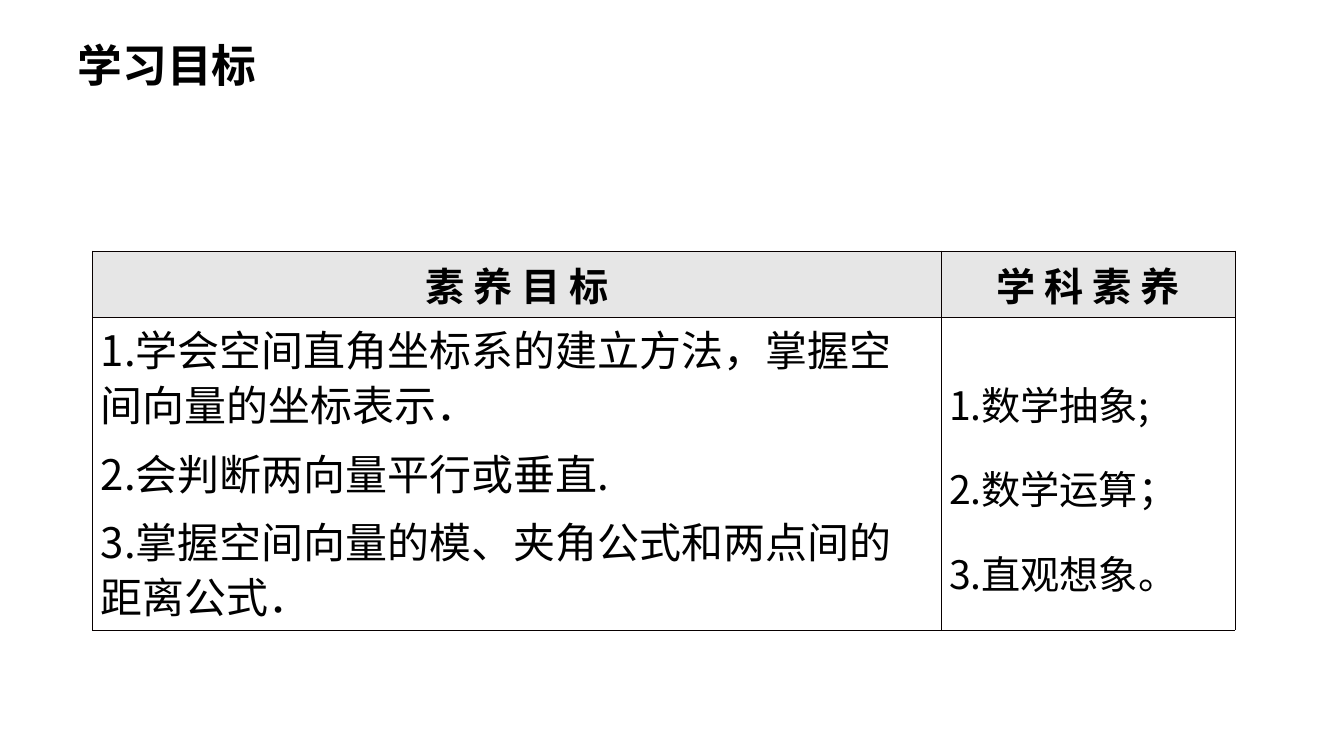
import pptx
import pptx.dml.color
import pptx.enum.text
import pptx.oxml
import pptx.oxml.ns
import pptx.util
from pptx.util import Inches

FONT = "Noto Sans CJK SC"
BLACK = "000000"
BORDER = "080000"
HEADER_FILL = "E6E6E6"
ALIGN = pptx.enum.text.PP_ALIGN
ANCHOR = pptx.enum.text.MSO_ANCHOR

HEADERS = ["素 养 目 标", "学 科 素 养"]
GOALS = [
    "1.学会空间直角坐标系的建立方法，掌握空间向量的坐标表示．",
    "2.会判断两向量平行或垂直.",
    "3.掌握空间向量的模、夹角公式和两点间的距离公式．",
]
COMPETENCIES = ["1.数学抽象;", "2.数学运算；", "3.直观想象。"]


def rgb(color):
    """Turn a hex string into a colour."""
    return pptx.dml.color.RGBColor.from_string(color)


def write_text(frame, lines, size, bold=False, align=ALIGN.LEFT, line_spacing=1.0, space_before=0):
    """Fill a text frame with one formatted paragraph per line."""
    frame.word_wrap = True
    for index, line in enumerate(lines):
        paragraph = frame.paragraphs[0] if index == 0 else frame.add_paragraph()
        paragraph.alignment = align
        paragraph.line_spacing = line_spacing
        paragraph.space_before = pptx.util.Pt(space_before if index else 0)
        run = paragraph.add_run()
        run.text = line
        run.font.size = pptx.util.Pt(size)
        run.font.bold = bold
        run.font.color.rgb = rgb(BLACK)
        run.font.name = FONT
        east_asian = pptx.oxml.parse_xml(
            f'<a:ea {pptx.oxml.ns.nsdecls("a")} typeface="{FONT}"/>'
        )
        run.font._element.find(pptx.oxml.ns.qn("a:latin")).addnext(east_asian)


def format_cell(cell, fill=None):
    """Set the fill, margins, anchor and borders of a table cell."""
    cell.vertical_anchor = ANCHOR.MIDDLE
    cell.margin_left = cell.margin_right = Inches(0.08)
    cell.margin_top = cell.margin_bottom = Inches(0.05)
    if fill:
        cell.fill.solid()
        cell.fill.fore_color.rgb = rgb(fill)
    else:
        cell.fill.background()
    properties = cell._tc.get_or_add_tcPr()
    for position, side in enumerate(["lnL", "lnR", "lnT", "lnB"]):
        border = pptx.oxml.parse_xml(
            f'<a:{side} {pptx.oxml.ns.nsdecls("a")} w="{pptx.util.Pt(0.45)}">'
            f'<a:solidFill><a:srgbClr val="{BORDER}"/></a:solidFill></a:{side}>'
        )
        properties.insert(position, border)


def add_title(slide, text):
    """Place and fill the slide title."""
    title = slide.shapes.title
    title.left, title.top = Inches(0.25), Inches(0.06)
    title.width, title.height = Inches(2.82), Inches(0.9)
    frame = title.text_frame
    frame.vertical_anchor = ANCHOR.TOP
    frame.auto_size = pptx.enum.text.MSO_AUTO_SIZE.SHAPE_TO_FIT_TEXT
    write_text(frame, [text], size=32, bold=True, align=ALIGN.CENTER, line_spacing=1.5)


def add_goal_table(slide):
    """Add the table of learning goals and subject competencies."""
    table = slide.shapes.add_table(
        2, 2, Inches(0.92), Inches(2.49), Inches(11.34), Inches(3.76)
    ).table
    table.first_row = table.horz_banding = False
    for column, width in zip(table.columns, [8.42, 2.92]):
        column.width = Inches(width)
    for row, height in zip(table.rows, [0.66, 3.1]):
        row.height = Inches(height)
    for index, header in enumerate(HEADERS):
        format_cell(table.cell(0, index), fill=HEADER_FILL)
        format_cell(table.cell(1, index))
        write_text(table.cell(0, index).text_frame, [header], size=28, bold=True, align=ALIGN.CENTER)
    write_text(table.cell(1, 0).text_frame, GOALS, size=30, line_spacing=0.9, space_before=10)
    write_text(table.cell(1, 1).text_frame, COMPETENCIES, size=28, line_spacing=1.5)


def main():
    """Build and save the slide."""
    presentation = pptx.Presentation()
    presentation.slide_width = Inches(13.34)
    presentation.slide_height = Inches(7.5)
    slide = presentation.slides.add_slide(presentation.slide_layouts[5])
    add_title(slide, "学习目标")
    add_goal_table(slide)
    presentation.save("out.pptx")


if __name__ == "__main__":
    main()
